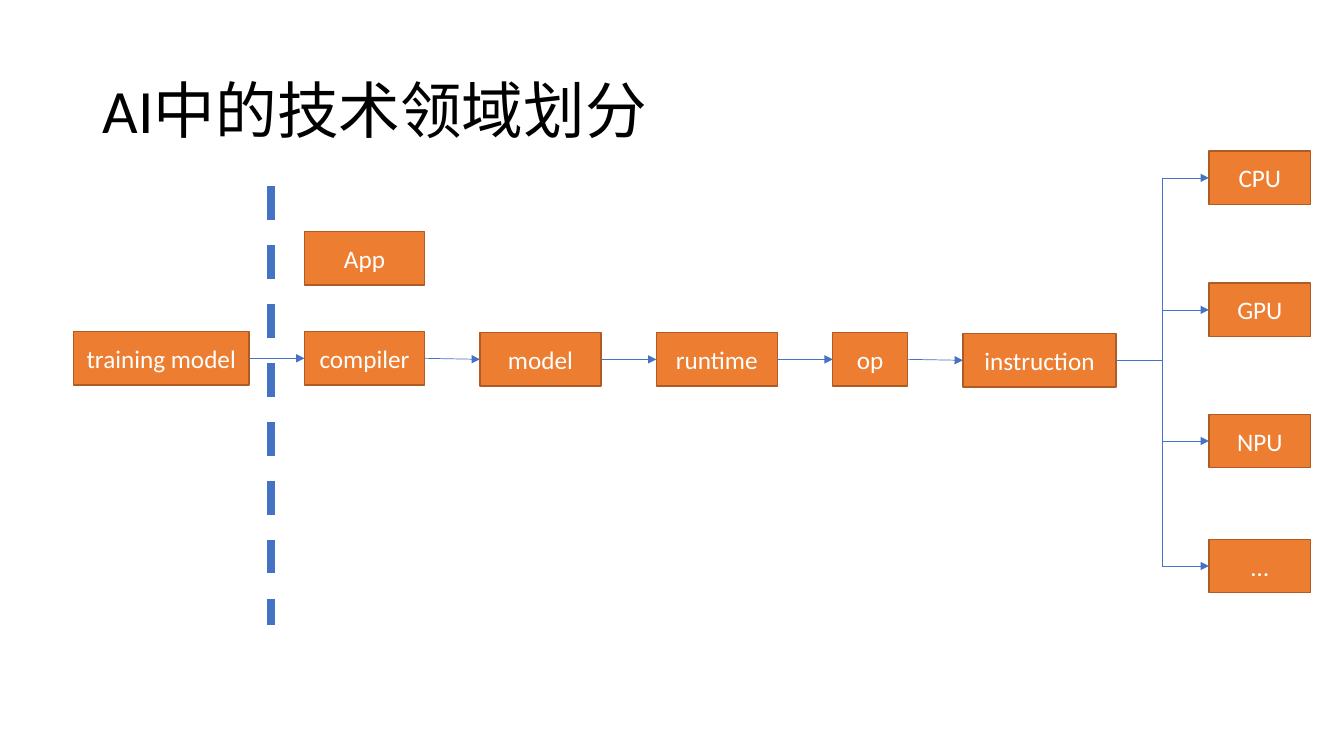
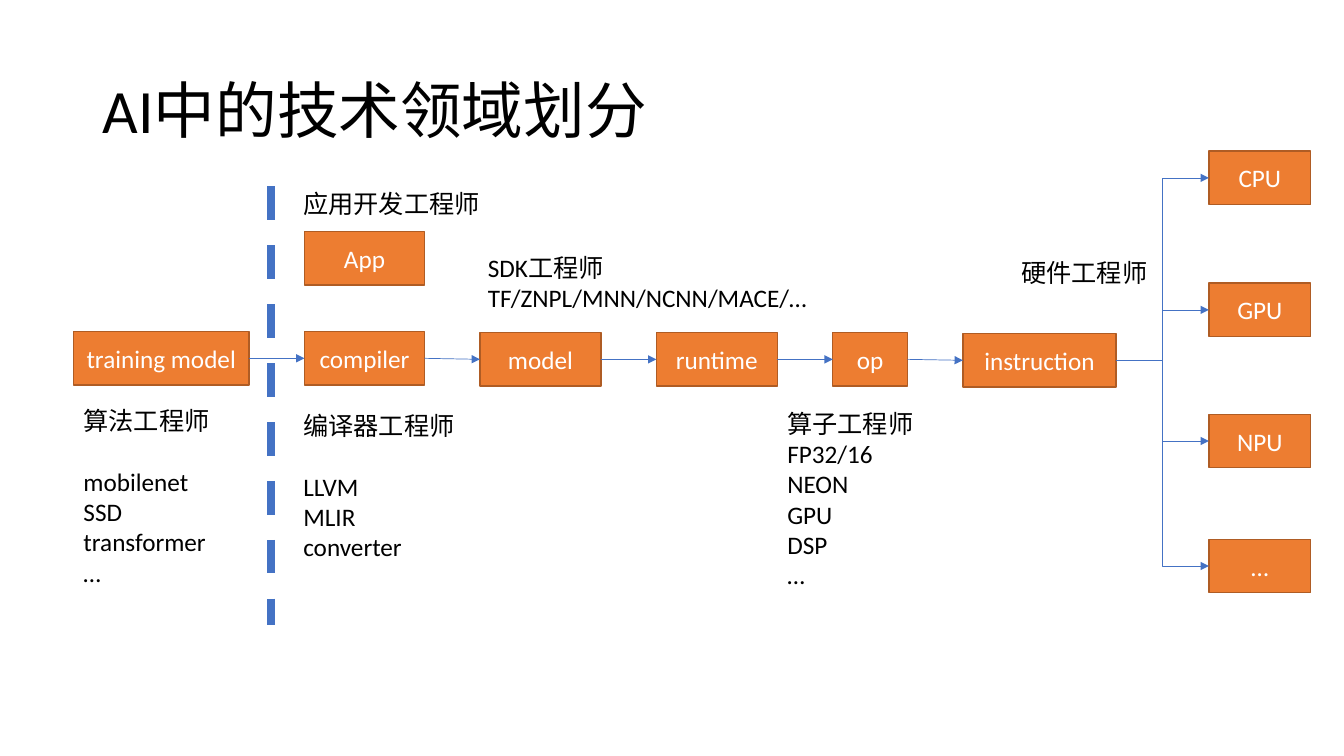
from lxml import etree
from pptx import Presentation
from pptx.dml.color import RGBColor as RGB
from pptx.enum.dml import MSO_LINE as Dash
from pptx.enum.shapes import MSO_CONNECTOR as Link, MSO_SHAPE as Shape
from pptx.enum.text import MSO_ANCHOR as Anchor, MSO_AUTO_SIZE as Auto, PP_ALIGN as Align
from pptx.oxml.ns import qn
from pptx.util import Inches, Pt

COLORS = {"box": "ED7D31", "edge": "AF5C24", "line": "4472C4",
          "light": "FFFFFF", "dark": "000000"}
FONT = "Calibri"
TITLE = "AI中的技术领域划分"
LEFT, RIGHT = 1, 3  # connection sites of a rectangle


class Deck:
    """Holds the style and the current slide."""

    def __init__(self):
        self.prs = Presentation()
        self.prs.slide_width, self.prs.slide_height = Inches(13.33), Inches(7.5)

    def color(self, name):
        return RGB.from_string(COLORS[name])

    def page(self):
        self.slide = self.prs.slides.add_slide(self.prs.slide_layouts[6])
        self.title(TITLE)

    def run(self, para, text, size=18, color="dark"):
        run = para.add_run()
        run.text = text
        run.font.name, run.font.size = FONT, Pt(size)
        run.font.color.rgb = self.color(color)

    def frame(self, x, y, w, h):
        box = self.slide.shapes.add_textbox(*map(Inches, (x, y, w, h)))
        box.text_frame.word_wrap = True
        return box.text_frame

    def title(self, text):
        frame = self.frame(0.92, 0.4, 11.5, 1.45)
        frame.vertical_anchor = Anchor.MIDDLE
        para = frame.paragraphs[0]
        para.line_spacing = 0.9
        self.run(para, text, 44)

    def note(self, x, y, w, h, head, items=(), gap=0):
        """A role, then its items; gap is the space between them in points."""
        frame = self.frame(x, y, w, h)
        frame.auto_size = Auto.SHAPE_TO_FIT_TEXT
        self.run(frame.paragraphs[0], head)
        for i, item in enumerate(items):
            para = frame.add_paragraph()
            if i == 0 and gap:
                para.space_before = Pt(gap)
            self.run(para, item)
        return frame

    def box(self, text, x, y, w, h=0.53):
        box = self.slide.shapes.add_shape(Shape.RECTANGLE, *map(Inches, (x, y, w, h)))
        box.shadow.inherit = False
        box.fill.solid()
        box.fill.fore_color.rgb = self.color("box")
        box.line.color.rgb = self.color("edge")
        box.line.width = Pt(1)
        box.text_frame.vertical_anchor = Anchor.MIDDLE
        para = box.text_frame.paragraphs[0]
        para.alignment = Align.CENTER
        self.run(para, text, color="light")
        return box

    def line(self, kind, ends, width):
        line = self.slide.shapes.add_connector(kind, *map(Inches, ends))
        line.line.color.rgb = self.color("line")
        line.line.width = Pt(width)
        etree.SubElement(line._element.spPr, qn("a:effectLst"))
        return line

    def arrow(self, start, end, kind=Link.STRAIGHT):
        """An arrow from the right side of one box to the left side of the next."""
        line = self.line(kind, (0, 0, 1, 1), 0.5)
        line.begin_connect(start, RIGHT)
        line.end_connect(end, LEFT)
        etree.SubElement(line.line._get_or_add_ln(), qn("a:tailEnd"), type="triangle")

    def divide(self, x, top, end):
        self.line(Link.STRAIGHT, (x, top, x, end), 6).line.dash_style = Dash.DASH


# Stages from left to right: text, top, width
STAGES = [("training model", 3.29, 1.74), ("compiler", 3.29, 1.19),
          ("model", 3.3, 1.2), ("runtime", 3.3, 1.2),
          ("op", 3.3, 0.74), ("instruction", 3.31, 1.52)]
CHIPS = [("CPU", 1.5), ("GPU", 2.81), ("NPU", 4.11), ("…", 5.35)]
GAP = 0.55


def flow(deck):
    chips = [deck.box(text, 11.99, y, 1.01) for text, y in CHIPS]
    stages, x = [], 0.73
    for text, y, w in STAGES:
        stages.append(deck.box(text, x, y, w))
        x += w + GAP
    for start, end in zip(stages, stages[1:]):
        deck.arrow(start, end)
    for chip in chips:
        deck.arrow(stages[-1], chip, Link.ELBOW)
    deck.divide(2.69, 1.85, 6.2)
    deck.box("App", 3.02, 2.3, 1.19)


def roles(deck):
    deck.note(0.73, 3.97, 1.74, 1.92, "算法工程师",
              ["mobilenet", "SSD", "transformer", "…"], 22)
    deck.note(2.91, 1.82, 2.09, 0.4, "应用开发工程师")
    deck.note(2.91, 4.02, 2.09, 1.62, "编译器工程师",
              ["LLVM", "MLIR", "converter"], 22)
    para = deck.note(4.74, 2.45, 4.38, 0.71, "SDK工程师").paragraphs[0]
    para.add_line_break()
    deck.run(para, "TF/ZNPL/MNN/NCNN/MACE/…")
    deck.note(10.03, 2.5, 2.09, 0.4, "硬件工程师")
    deck.note(7.71, 4, 2.09, 1.92, "算子工程师",
              ["FP32/16", "NEON", "GPU", "DSP", "…"])


deck = Deck()

# Slide 1: the flow alone
deck.page()
flow(deck)

# Slide 2: the flow with the engineers' roles
deck.page()
flow(deck)
roles(deck)

deck.prs.save("out.pptx")
